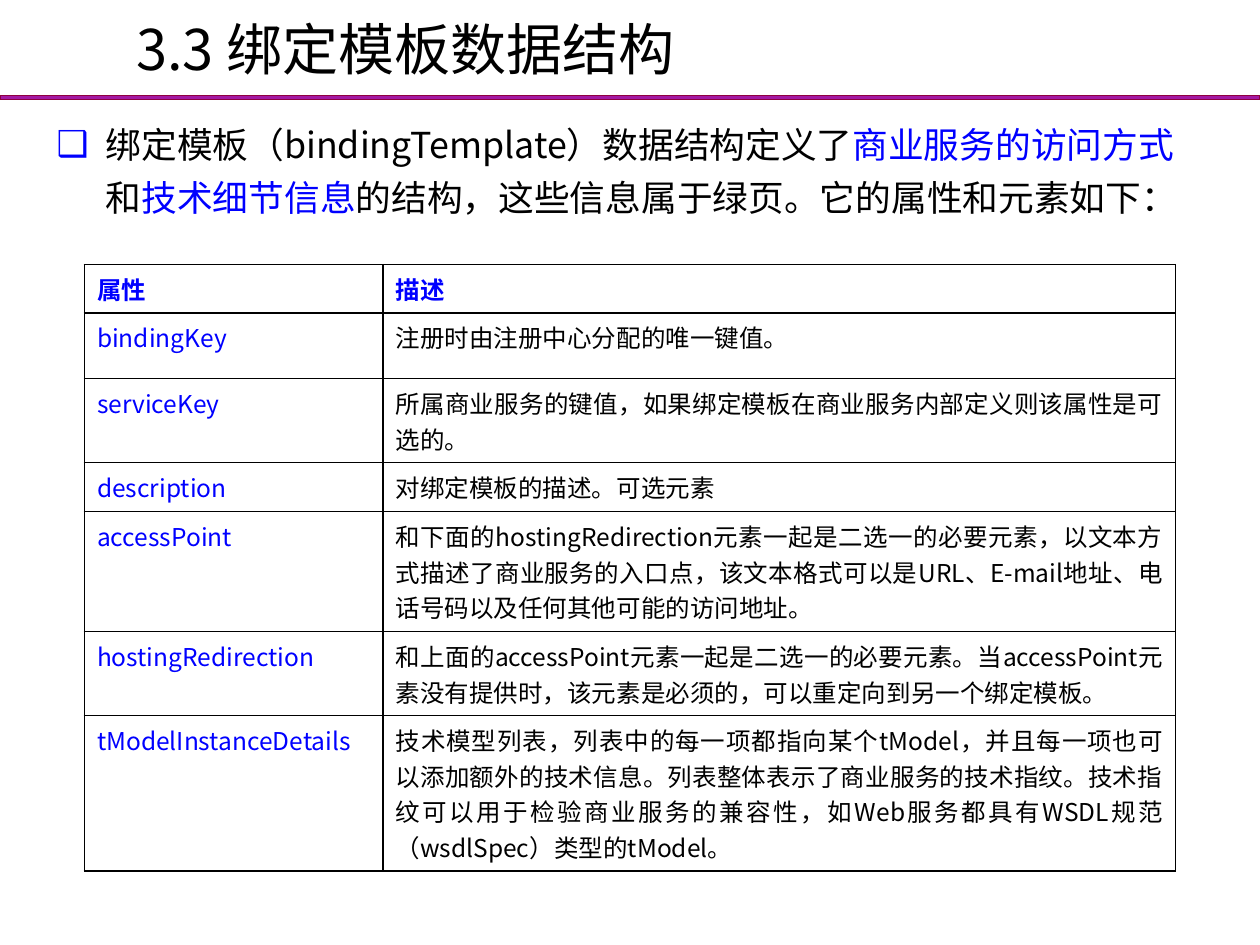
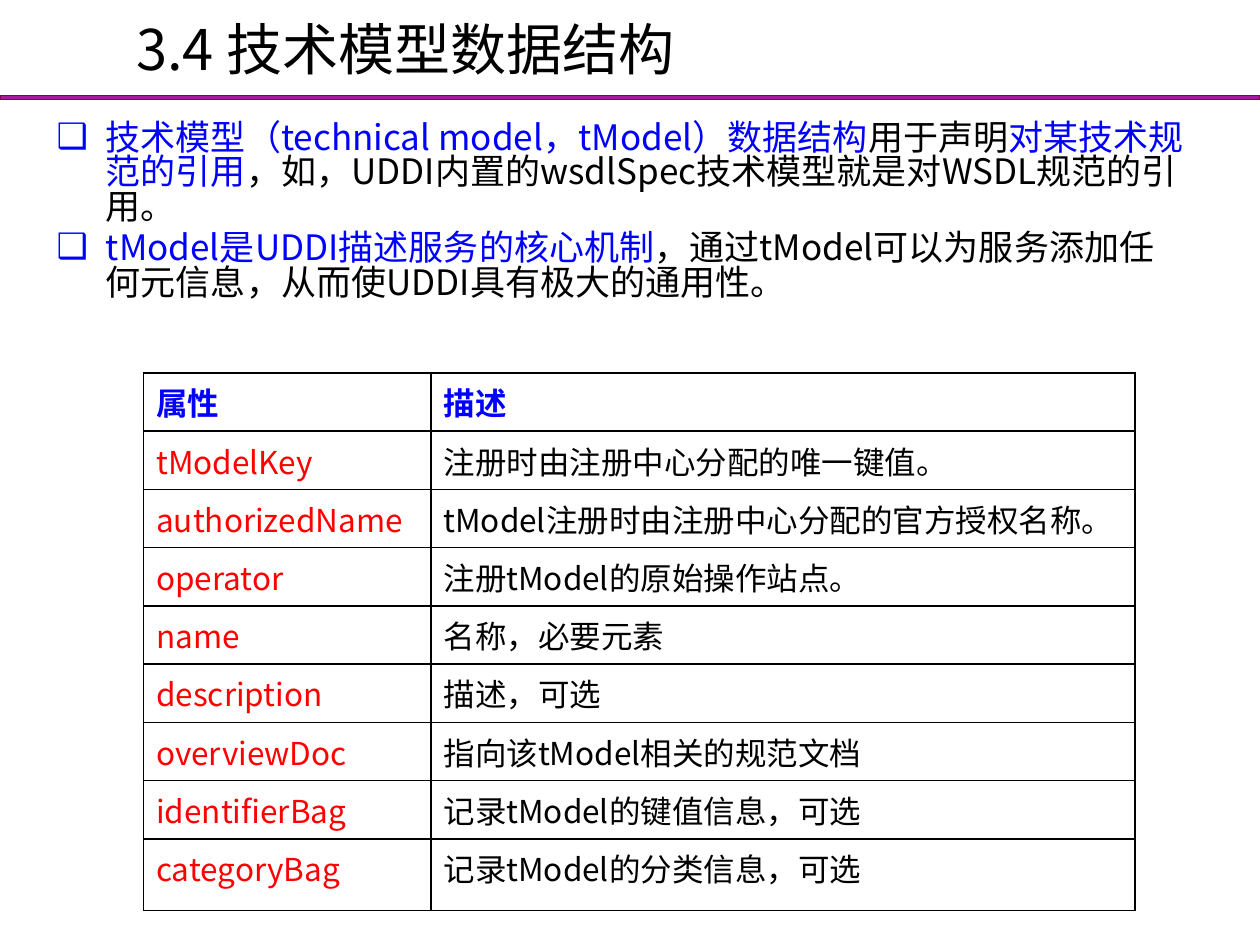
"""Build two slides on service registry data structures."""
import dataclasses

import lxml.etree
import pptx
import pptx.dml.color
import pptx.enum.shapes
import pptx.enum.text
import pptx.oxml
import pptx.oxml.ns
import pptx.util

Inches = pptx.util.Inches
Pt = pptx.util.Pt
qn = pptx.oxml.ns.qn


@dataclasses.dataclass(frozen=True)
class Theme:
    """Hold the colours, font and sizes that the slides share."""
    font: str = "Noto Sans CJK SC"
    text: str = "000000"
    accent: str = "0000FF"
    alert: str = "FF0000"
    band: str = "990099"
    band_line: str = "8F0040"
    band_alpha: int = 90
    title_size: float = 32
    border: float = 1
    indent: float = 0.39
    bullet: str = "❑"


THEME = Theme()
TITLE_BOX = (0.98, 0, 9.02, 0.76)
BAND_BOX = (0, 0.76, 10, 0.03)

SLIDES = [
    {
        "title": "3.3 绑定模板数据结构",
        "body": {
            "box": (0.35, 0.84, 9.29, 1.18), "size": 20.4,
            "spacing": {"line_spacing": 1.24, "space_before": Pt(4)},
            "paragraphs": [[
                ("绑定模板（bindingTemplate）数据结构定义了", THEME.text),
                ("商业服务的访问方式", THEME.accent),
                ("和", THEME.text),
                ("技术细节信息", THEME.accent),
                ("的结构，这些信息属于绿页。它的属性和元素如下：", THEME.text),
            ]],
        },
        "table": {
            "box": (0.67, 2.1, 8.66, 4.25), "size": 14, "key_color": THEME.accent,
            "cols": [2.37, 6.29], "heights": [0.36, 0.52] + [0.39] * 5,
            "rows": [
                ("属性", "描述"),
                ("bindingKey", "注册时由注册中心分配的唯一键值。"),
                ("serviceKey", "所属商业服务的键值，如果绑定模板在商业服务内部定义则该属性是可选的。"),
                ("description", "对绑定模板的描述。可选元素"),
                ("accessPoint", "和下面的hostingRedirection元素一起是二选一的必要元素，"
                 "以文本方式描述了商业服务的入口点，该文本格式可以是URL、E-mail地址、"
                 "电话号码以及任何其他可能的访问地址。"),
                ("hostingRedirection", "和上面的accessPoint元素一起是二选一的必要元素。"
                 "当accessPoint元素没有提供时，该元素是必须的，可以重定向到另一个绑定模板。"),
                ("tModelInstanceDetails", "技术模型列表，列表中的每一项都指向某个tModel，"
                 "并且每一项也可以添加额外的技术信息。列表整体表示了商业服务的技术指纹。"
                 "技术指纹可以用于检验商业服务的兼容性，"
                 "如Web服务都具有WSDL规范（wsdlSpec）类型的tModel。"),
            ],
        },
    },
    {
        "title": "3.4 技术模型数据结构",
        "body": {
            "box": (0.35, 0.92, 9.15, 2.28), "size": 20,
            "spacing": {"line_spacing": 0.83, "space_before": Pt(3.5)},
            "paragraphs": [
                [
                    ("技术模型（technical model，tModel）数据结构", THEME.accent),
                    ("用于声明", THEME.text),
                    ("对某技术规范的引用", THEME.accent),
                    ("，如，UDDI内置的wsdlSpec技术模型就是对WSDL规范的引用。", THEME.text),
                ],
                [
                    ("tModel是UDDI描述服务的核心机制", THEME.accent),
                    ("，通过tModel可以为服务添加任何元信息，从而使UDDI具有极大的通用性。",
                     THEME.text),
                ],
            ],
        },
        "table": {
            "box": (1.14, 2.96, 7.87, 3.81), "size": 18, "key_color": THEME.alert,
            "cols": [2.28, 5.59], "heights": [0.4] * 6 + [0.44, 0.39, 0.57],
            "rows": [
                ("属性", "描述"),
                ("tModelKey", "注册时由注册中心分配的唯一键值。"),
                ("authorizedName", "tModel注册时由注册中心分配的官方授权名称。"),
                ("operator", "注册tModel的原始操作站点。"),
                ("name", "名称，必要元素"),
                ("description", "描述，可选"),
                ("overviewDoc", "指向该tModel相关的规范文档"),
                ("identifierBag", "记录tModel的键值信息，可选"),
                ("categoryBag", "记录tModel的分类信息，可选"),
            ],
        },
    },
]


def rgb(color):
    """Return a colour object for a hex string."""
    return pptx.dml.color.RGBColor.from_string(color)


def apply(obj, values):
    """Set each attribute named in a dict."""
    for name, value in values.items():
        setattr(obj, name, value)


def place(sp, box):
    """Move a shape to a box given in inches."""
    apply(sp, dict(zip(("left", "top", "width", "height"), map(Inches, box))))


def add_child(parent, tag, **attrs):
    """Append an XML element and return it."""
    return lxml.etree.SubElement(parent, qn(tag), attrs)


def add_run(p, text, size, color, bold=False):
    """Add a run in the theme font for both scripts."""
    r = p.add_run()
    r.text = text
    apply(r.font, {"name": THEME.font, "size": Pt(size), "bold": bold})
    r.font.color.rgb = rgb(color)
    add_child(r.font._element, "a:ea", typeface=THEME.font)


def add_bullet(p):
    """Give a paragraph a coloured hanging bullet."""
    pPr = p._p.get_or_add_pPr()
    indent = Inches(THEME.indent)
    pPr.set("marL", str(indent))
    pPr.set("indent", str(-indent))
    add_child(add_child(pPr, "a:buClr"), "a:srgbClr", val=THEME.accent)
    add_child(pPr, "a:buChar", char=THEME.bullet)


def add_band(slide, layout):
    """Draw the rule under the title and move it to the layout."""
    sp = slide.shapes.add_shape(pptx.enum.shapes.MSO_SHAPE.RECTANGLE,
                                *map(Inches, BAND_BOX))
    sp.shadow.inherit = False
    sp.fill.solid()
    sp.fill.fore_color.rgb = rgb(THEME.band)
    color = sp._element.spPr.find(qn("a:solidFill"))[0]
    add_child(color, "a:alpha", val=str(THEME.band_alpha * 1000))
    sp.line.color.rgb = rgb(THEME.band_line)
    sp.line.width = 0
    layout.shapes._spTree.insert(2, sp._element)


def fill_title(sp, text):
    """Write the slide title."""
    tf = sp.text_frame
    apply(tf, {"auto_size": pptx.enum.text.MSO_AUTO_SIZE.NONE,
               "vertical_anchor": pptx.enum.text.MSO_ANCHOR.MIDDLE})
    p = tf.paragraphs[0]
    p.alignment = pptx.enum.text.PP_ALIGN.LEFT
    add_run(p, text, THEME.title_size, THEME.text)


def fill_body(sp, body):
    """Write the bulleted paragraphs in the body placeholder."""
    place(sp, body["box"])
    tf = sp.text_frame
    tf.auto_size = pptx.enum.text.MSO_AUTO_SIZE.NONE
    for i, runs in enumerate(body["paragraphs"]):
        p = tf.add_paragraph() if i else tf.paragraphs[0]
        apply(p, body["spacing"])
        add_bullet(p)
        for text, color in runs:
            add_run(p, text, body["size"], color)


def format_cell(cell):
    """Clear the cell fill and draw its four borders."""
    tcPr = cell._tc.get_or_add_tcPr()
    for side in ("L", "R", "T", "B"):
        ln = add_child(tcPr, f"a:ln{side}", w=str(Pt(THEME.border)))
        add_child(add_child(ln, "a:solidFill"), "a:srgbClr", val=THEME.text)
    cell.fill.background()


def add_attribute_table(slide, spec):
    """Add the table of attributes and descriptions."""
    rows = spec["rows"]
    table = slide.shapes.add_table(len(rows), len(spec["cols"]),
                                   *map(Inches, spec["box"])).table
    apply(table, {"first_row": False, "horz_banding": False})
    for col, width in zip(table.columns, spec["cols"]):
        col.width = Inches(width)
    for row, height in zip(table.rows, spec["heights"]):
        row.height = Inches(height)
    for i, texts in enumerate(rows):
        colors = (spec["key_color"], THEME.text) if i else (THEME.accent,) * 2
        for cell, text, color in zip(table.rows[i].cells, texts, colors):
            format_cell(cell)
            p = cell.text_frame.paragraphs[0]
            p.alignment = pptx.enum.text.PP_ALIGN.JUSTIFY
            add_run(p, text, spec["size"], color, bold=i == 0)


def add_structure_slide(prs, layout, spec):
    """Add a slide with a title, bullets and an attribute table."""
    slide = prs.slides.add_slide(layout)
    fill_title(slide.shapes.title, spec["title"])
    fill_body(slide.placeholders[1], spec["body"])
    add_attribute_table(slide, spec["table"])
    return slide


def main():
    """Build and save the presentation."""
    prs = pptx.Presentation()
    apply(prs, {"slide_width": Inches(10), "slide_height": Inches(7.5)})
    layout = prs.slide_layouts[1]
    place(layout.placeholders[0], TITLE_BOX)
    slides = [add_structure_slide(prs, layout, spec) for spec in SLIDES]
    add_band(slides[0], layout)
    prs.save("out.pptx")


if __name__ == "__main__":
    main()
